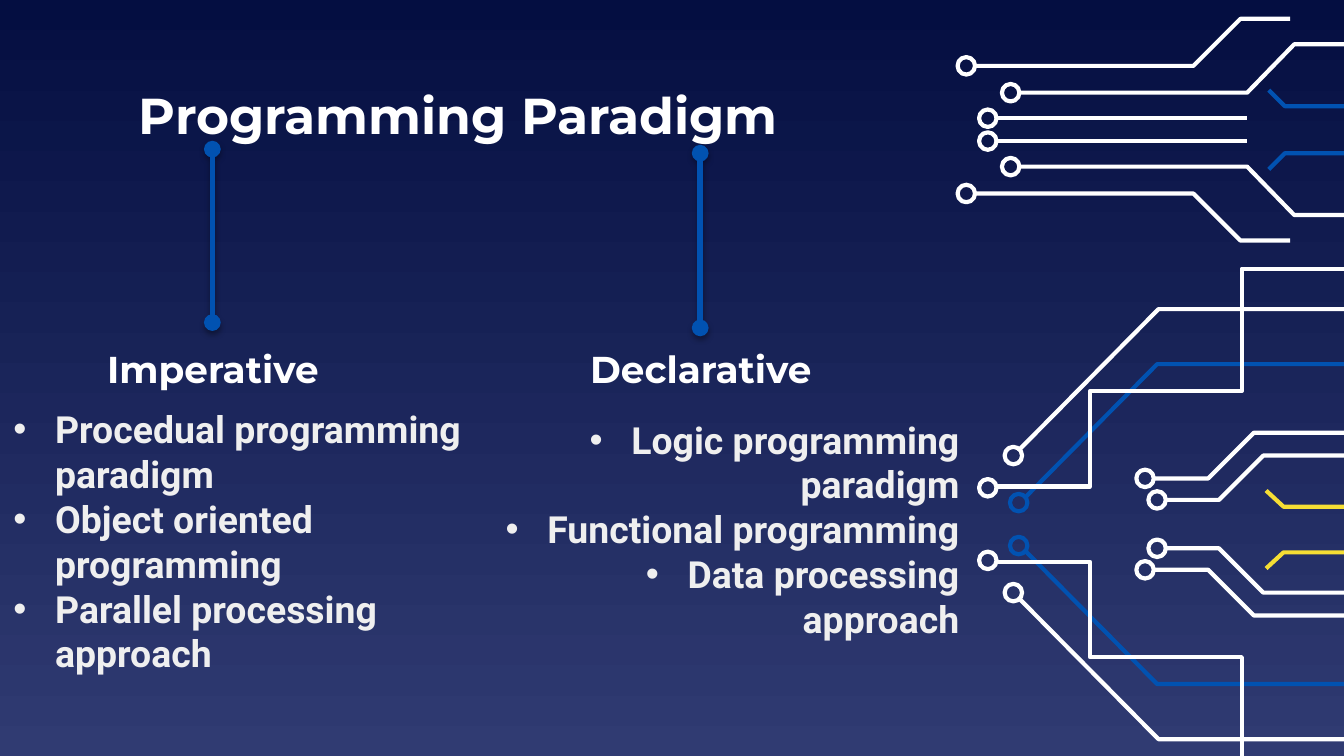
from dataclasses import dataclass

from lxml.etree import SubElement
from pptx import Presentation
from pptx.dml.color import RGBColor
from pptx.enum.shapes import MSO_CONNECTOR, MSO_SHAPE
from pptx.enum.text import MSO_ANCHOR, MSO_AUTO_SIZE, PP_ALIGN
from pptx.oxml.ns import qn
from pptx.util import Inches, Pt

STEP = Inches(0.01)  # the grid has 1000 columns; every length counts its steps


@dataclass(frozen=True)
class Theme:
    """Colours, fonts and type sizes of the slide."""
    top: str = "040E41"
    base: str = "303B72"
    white: str = "FFFFFF"
    pale: str = "EFEFEF"
    blue: str = "0152B1"
    gold: str = "F5DE34"
    head: str = "Montserrat"
    body: str = "Roboto"
    big: int = 27
    mid: int = 20
    thin: float = 2.25
    thick: float = 3


def rgb(code):
    """Turn a hex code into a colour."""
    return RGBColor.from_string(code)


def grid(*steps):
    """Turn grid steps into lengths."""
    return [STEP * n for n in steps]


def add(node, tag, **attrs):
    """Append a drawing element with its attributes."""
    return SubElement(node, qn("a:" + tag), {k: str(v) for k, v in attrs.items()})


def write(para, text, font, size, color, align=PP_ALIGN.LEFT):
    """Put bold text in a paragraph with the given format."""
    para.alignment = align
    para.line_spacing = 1.0
    para.space_before = para.space_after = Pt(0)
    run = para.add_run()
    run.text = text
    run.font.name, run.font.size, run.font.bold = font, Pt(size), True
    run.font.color.rgb = rgb(color)


class Board:
    """The current slide and its style."""

    def __init__(self, slide, theme):
        """Keep the slide and the theme."""
        self.slide, self.theme = slide, theme

    def paint(self):
        """Fill the background from top to base."""
        fill = self.slide.background.fill
        fill.gradient()
        fill.gradient_angle = 270
        for stop, code in zip(fill.gradient_stops, (self.theme.top, self.theme.base)):
            stop.color.rgb = rgb(code)

    def frame(self, slot, box):
        """Move a placeholder and return its text frame."""
        shape = self.slide.placeholders[slot]
        shape.left, shape.top, shape.width, shape.height = grid(*box)
        frame = shape.text_frame
        frame.word_wrap, frame.auto_size = True, MSO_AUTO_SIZE.NONE
        frame.vertical_anchor = MSO_ANCHOR.MIDDLE
        frame.margin_left = frame.margin_right = STEP * 10
        frame.margin_top = frame.margin_bottom = STEP * 10
        return frame

    def title(self, slot, box, text, size):
        """Write a centred heading."""
        write(self.frame(slot, box).paragraphs[0], text, font=self.theme.head,
              size=size, color=self.theme.white, align=PP_ALIGN.CENTER)

    def list(self, slot, box, items, align):
        """Write a bullet list."""
        frame, look = self.frame(slot, box), self.theme
        for i, item in enumerate(items):
            para = frame.add_paragraph() if i else frame.paragraphs[0]
            write(para, item, font=look.body, size=look.mid,
                  color=look.pale, align=align)
            props = para._p.get_or_add_pPr()
            props.set("marL", str(STEP * 31))
            props.set("indent", str(STEP * -31))
            add(add(props, "buClr"), "srgbClr", val=look.pale)
            add(props, "buFont", typeface="Arial")
            add(props, "buChar", char="•")

    def outline(self, shape, color):
        """Leave a shape hollow with a thin line."""
        shape.shadow.inherit = False
        shape.fill.background()
        shape.line.color.rgb = rgb(color)
        shape.line.width = Pt(self.theme.thin)

    def trace(self, points, color):
        """Draw an open circuit path."""
        pen = self.slide.shapes.build_freeform(*points[0], scale=STEP)
        pen.add_line_segments(points[1:], close=False)
        self.outline(pen.convert_to_shape(), color)

    def ring(self, x, y, color):
        """Draw a circuit node around its centre."""
        box = grid(x - 6.5, y - 6.5, 13, 13)
        oval = self.slide.shapes.add_shape(MSO_SHAPE.OVAL, *map(int, box))
        self.outline(oval, color)

    def pair(self, color, total, dot, points):
        """Draw a path with its node, then both flipped, so that y values add to total."""
        for flip in (False, True):
            def turn(spot):
                """Flip a point if this is the lower half."""
                return (spot[0], total - spot[1]) if flip else spot
            self.trace([turn(p) for p in points], color)
            if dot:
                self.ring(*turn(dot), color)

    def link(self, x, top, end):
        """Draw a vertical line with round ends and a soft shadow."""
        line = self.slide.shapes.add_connector(
            MSO_CONNECTOR.STRAIGHT, *grid(x, top, x, end))
        line.line.color.rgb = rgb(self.theme.blue)
        line.line.width = Pt(self.theme.thick)
        edge = line.line._get_or_add_ln()
        for tag in ("headEnd", "tailEnd"):
            add(edge, tag, type="oval")
        glow = add(add(line._element.spPr, "effectLst"), "outerShdw",
                   blurRad=Pt(3.1), dist=Pt(1.8), dir=5400000, rotWithShape=0)
        add(add(glow, "srgbClr", val="000000"), "alpha", val=35000)


def main():
    """Build the slide and save it."""
    deck = Presentation()
    deck.slide_width = Inches(10)
    deck.slide_height = deck.slide_width * 9 // 16
    look = Theme()
    board = Board(deck.slides.add_slide(deck.slide_layouts[4]), look)
    board.paint()

    board.title(0, (0, 59, 682, 52), "Programming Paradigm", look.big)
    board.title(1, (38, 248, 241, 52), "Imperative", look.mid)
    board.list(2, (0, 289, 384, 227), (
        "Procedual programming paradigm",
        "Object oriented programming",
        "Parallel processing approach"), PP_ALIGN.LEFT)
    board.title(3, (401, 248, 241, 52), "Declarative", look.mid)
    board.list(4, (353, 278, 371, 231), (
        "Logic programming paradigm",
        "Functional programming",
        "Data processing approach"), PP_ALIGN.RIGHT)

    upper, lower, tips = 193, 780, 788
    for circuit in (
        (look.white, lower, (861, 372), [(866, 372), (907, 372), (940, 339), (1020, 339)]),
        (look.white, lower, (852, 356), [(858, 356), (899, 356), (933, 322), (1020, 322)]),
        (look.gold, tips, None, [(942, 365), (955, 377), (1011, 377)]),
        (look.blue, upper, None, [(944, 67), (956, 79), (1013, 79)]),
        (look.blue, lower, (758, 374), [(762, 371), (861, 271), (1019, 271)]),
        (look.white, lower, (735, 363),
         [(741, 362), (811, 362), (811, 291), (924, 291), (924, 200), (1020, 200)]),
        (look.white, lower, (754, 339), [(758, 335), (862, 230), (1020, 230)]),
        (look.white, upper, (719, 49), [(724, 49), (888, 49), (923, 14), (960, 14)]),
        (look.white, upper, (752, 69), [(758, 69), (928, 69), (963, 33), (1025, 33)]),
        (look.white, upper, (735, 88), [(741, 88), (928, 88)]),
    ):
        board.pair(*circuit)

    for x, top, end in ((158, 111, 240), (521, 114, 244)):
        board.link(x, top, end)
    deck.save("out.pptx")


main()
